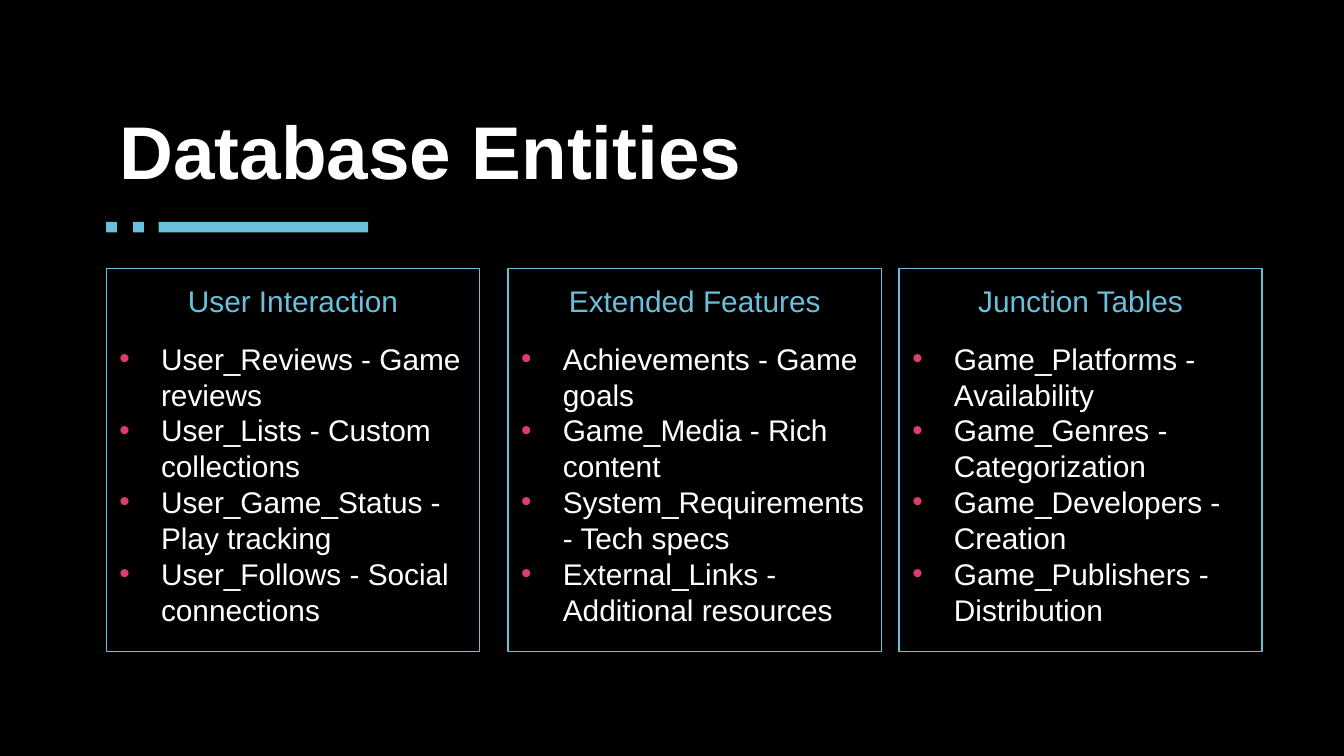
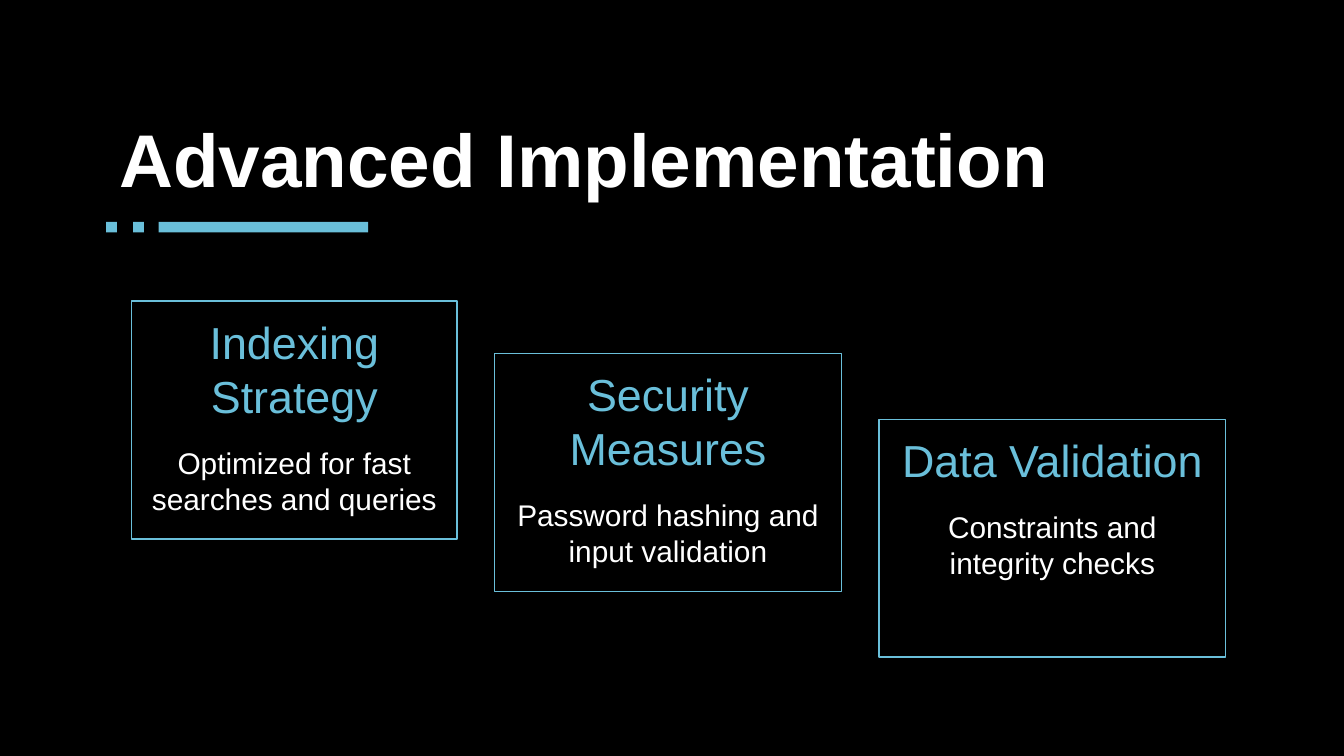
from lxml.etree import SubElement
from pptx import Presentation
from pptx.dml.color import RGBColor
from pptx.enum.shapes import MSO_SHAPE
from pptx.enum.text import MSO_ANCHOR, PP_ALIGN
from pptx.oxml.ns import qn
from pptx.util import Inches, Pt

COLORS = {
    "background": "000000",
    "text": "FFFFFF",
    "accent": "6ABFDA",
    "bullet": "DD3D6E",
}
FONT = "Arial"
MARGIN = 0.79
INSET = Inches(0.1)
BULLET_INDENT = Inches(0.31)

ENTITY_TOP, ENTITY_HEIGHT = 2, 2.85
ENTITY_CARDS = [
    (0.79, 2.78, "User Interaction", [
        "User_Reviews - Game reviews",
        "User_Lists - Custom collections",
        "User_Game_Status - Play tracking",
        "User_Follows - Social connections",
    ]),
    (3.78, 2.78, "Extended Features", [
        "Achievements - Game goals",
        "Game_Media - Rich content",
        "System_Requirements - Tech specs",
        "External_Links - Additional resources",
    ]),
    (6.69, 2.7, "Junction Tables", [
        "Game_Platforms - Availability",
        "Game_Genres - Categorization",
        "Game_Developers - Creation",
        "Game_Publishers - Distribution",
    ]),
]

STEP_HEIGHT = 1.77
STEP_CARDS = [
    (0.98, 2.24, 2.42, "Indexing Strategy", "Optimized for fast searches and queries"),
    (6.54, 3.12, 2.58, "Data Validation", "Constraints and integrity checks"),
    (3.68, 2.63, 2.58, "Security Measures", "Password hashing and input validation"),
]


def color(name):
    return RGBColor.from_string(COLORS[name])


def prepare_text(shape):
    frame = shape.text_frame
    frame.word_wrap = True
    frame.vertical_anchor = MSO_ANCHOR.TOP
    frame.margin_left = frame.margin_right = INSET
    frame.margin_top = frame.margin_bottom = INSET
    return frame


def write_run(paragraph, text, size, color_name, bold=False):
    run = paragraph.add_run()
    run.text = text
    run.font.name = FONT
    run.font.size = Pt(size)
    run.font.bold = bold
    run.font.color.rgb = color(color_name)


def add_bullet(paragraph):
    properties = paragraph._p.get_or_add_pPr()
    properties.set("marL", str(BULLET_INDENT))
    properties.set("indent", str(-BULLET_INDENT))
    bullet_color = SubElement(properties, qn("a:buClr"))
    SubElement(bullet_color, qn("a:srgbClr"), val=COLORS["bullet"])
    SubElement(properties, qn("a:buFont"), typeface=FONT)
    SubElement(properties, qn("a:buChar"), char="•")


def add_rectangle(slide, left, top, width, height):
    shape = slide.shapes.add_shape(
        MSO_SHAPE.RECTANGLE, Inches(left), Inches(top), Inches(width), Inches(height))
    shape.shadow.inherit = False
    return shape


def add_title(slide, text, top, height):
    box = slide.shapes.add_textbox(
        Inches(MARGIN), Inches(top), Inches(8.43), Inches(height))
    paragraph = prepare_text(box).paragraphs[0]
    write_run(paragraph, text, 40, "text", bold=True)


def add_title_accent(slide, left, top):
    thickness = 0.08
    for offset, width in ((0.39, 1.56), (0.2, thickness), (0, thickness)):
        bar = add_rectangle(slide, left + offset, top, width, thickness)
        bar.fill.solid()
        bar.fill.fore_color.rgb = color("accent")
        bar.line.fill.background()


def add_card(slide, box, heading, heading_size, lines, bulleted):
    card = add_rectangle(slide, *box)
    card.fill.background()
    card.line.color.rgb = color("accent")
    card.line.width = Pt(0.75)
    frame = prepare_text(card)
    paragraph = frame.paragraphs[0]
    paragraph.alignment = PP_ALIGN.CENTER
    paragraph.space_after = Pt(12)
    write_run(paragraph, heading, heading_size, "accent")
    for line in lines:
        paragraph = frame.add_paragraph()
        paragraph.alignment = PP_ALIGN.LEFT if bulleted else PP_ALIGN.CENTER
        if bulleted:
            add_bullet(paragraph)
        write_run(paragraph, line, 16, "text")


def add_base_slide(presentation, title, title_top, title_height):
    slide = presentation.slides.add_slide(presentation.slide_layouts[6])
    slide.background.fill.solid()
    slide.background.fill.fore_color.rgb = color("background")
    add_title(slide, title, title_top, title_height)
    add_title_accent(slide, MARGIN, 1.65)
    return slide


def add_entities_slide(presentation):
    slide = add_base_slide(presentation, "Database Entities", 0.68, 0.82)
    for left, width, heading, entities in ENTITY_CARDS:
        box = (left, ENTITY_TOP, width, ENTITY_HEIGHT)
        add_card(slide, box, heading, 16, entities, bulleted=True)


def add_implementation_slide(presentation):
    slide = add_base_slide(presentation, "Advanced Implementation", 0.74, 0.8)
    for left, top, width, heading, description in STEP_CARDS:
        box = (left, top, width, STEP_HEIGHT)
        add_card(slide, box, heading, 24, [description], bulleted=False)


def main():
    presentation = Presentation()
    presentation.slide_width = Inches(10)
    presentation.slide_height = Inches(10 * 9 / 16)
    add_entities_slide(presentation)
    add_implementation_slide(presentation)
    presentation.save("out.pptx")


if __name__ == "__main__":
    main()
